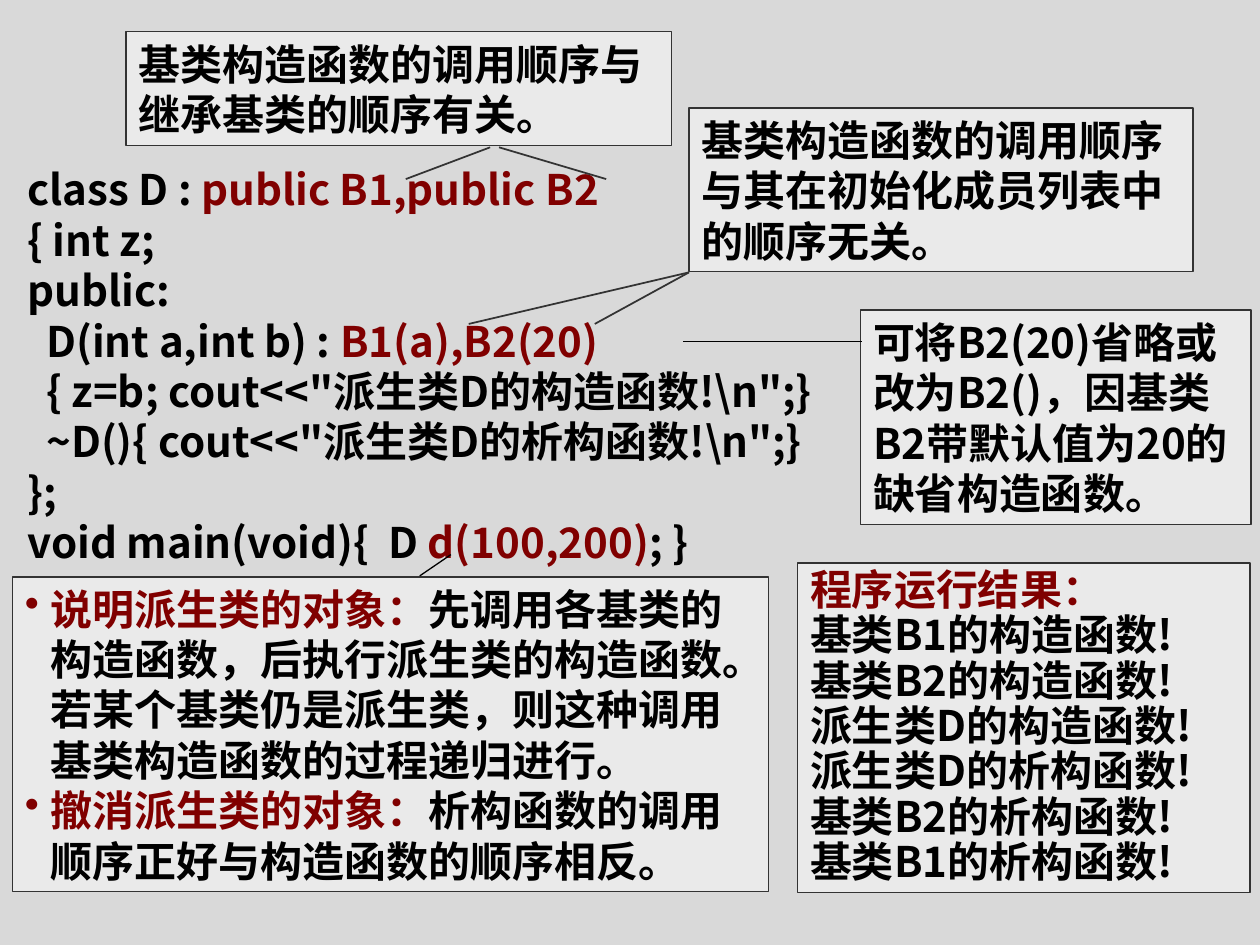
"""Build a slide on the order of base-class constructor calls."""
import pptx
import pptx.util
import pptx.dml.color
import pptx.enum.shapes
import pptx.enum.text
import pptx.oxml
import pptx.oxml.ns
from lxml import etree

Cm, Pt = pptx.util.Cm, pptx.util.Pt
RGB = pptx.dml.color.RGBColor
BACK = RGB(0xD9, 0xD9, 0xD9)
PANEL = RGB(0xEA, 0xEA, 0xEA)
EDGE = RGB(0x33, 0x33, 0x33)
BLACK = RGB(0, 0, 0)
RED = RGB(0x80, 0, 0)
SANS, SERIF = "Noto Sans CJK SC", "Times New Roman"
TOP = pptx.enum.text.MSO_ANCHOR.TOP
MIDDLE = pptx.enum.text.MSO_ANCHOR.MIDDLE
LEFT = pptx.enum.text.PP_ALIGN.LEFT
JUSTIFY = pptx.enum.text.PP_ALIGN.JUSTIFY

CODE = [
    "class D : |public B1,public B2",
    "{ int z;",
    "public:",
    "  D(int a,int b) : |B1(a),B2(20)",
    "  { z=b; cout<<\"派生类D的构造函数!\\n\";}",
    "  ~D(){ cout<<\"派生类D的析构函数!\\n\";}",
    "};",
    "void main(void){  D |d(100,200)|; }",
]
OUTPUT = [
    "|程序运行结果：",
    "基类B1的构造函数!",
    "基类B2的构造函数!",
    "派生类D的构造函数!",
    "派生类D的析构函数!",
    "基类B2的析构函数!",
    "基类B1的析构函数!",
]
ORDER = ["基类构造函数的调用顺序与继承基类的顺序有关。"]
INIT = ["基类构造函数的调用顺序与其在初始化成员列表中的顺序无关。"]
RULES = [
    "|说明派生类的对象：|先调用各基类的构造函数，后执行派生类的构造函数。"
    "若某个基类仍是派生类，则这种调用基类构造函数的过程递归进行。",
    "|撤消派生类的对象：|析构函数的调用顺序正好与构造函数的顺序相反。",
]
DEFAULT = ["可将B2(20)省略或改为B2()，因基类B2带默认值为20的缺省构造函数。"]

PLAIN = {"alignment": LEFT}
PANELS = [
    (OUTPUT, (16.08, 11.35, 9.12, 6.65), SANS, TOP, {"alignment": LEFT, "line_spacing": 0.9}, False),
    (ORDER, (2.54, 0.64, 11, 2.29), SERIF, MIDDLE, PLAIN, False),
    (INIT, (13.89, 2.18, 10.16, 3.3), SERIF, MIDDLE, PLAIN, False),
    (RULES, (0.25, 11.63, 15.24, 6.35), SANS, TOP, PLAIN, True),
    (DEFAULT, (17.35, 6.25, 7.87, 4.32), SANS, TOP, PLAIN, False),
]
LINES = [
    ((9.88, 2.97, 8.18, 3.61), EDGE, 1),
    ((10.06, 2.97, 12.22, 3.61), EDGE, 1),
    ((13.89, 5.49, 9.45, 6.53), EDGE, 1),
    ((13.89, 5.49, 11.99, 6.53), EDGE, 1),
    ((9.09, 11.18, 8.46, 11.61), BLACK, 0.75),
    ((13.77, 6.88, 17.37, 6.88), BLACK, 0.75),
]


def assign(item, vals):
    for key, val in vals.items():
        setattr(item, key, val)


def add(parent, tag, **vals):
    return etree.SubElement(parent, pptx.oxml.ns.qn(tag), vals)


def bullet(para):
    props = para._p.get_or_add_pPr()
    props.set("marL", str(Cm(0.51)))
    props.set("indent", str(-Cm(0.51)))
    add(add(props, "a:buClr"), "a:srgbClr", val=str(RED))
    add(props, "a:buChar", char="•")


def write(shape, rows, face, anchor, form, dots):
    frame = shape.text_frame
    assign(frame, {
        "word_wrap": True,
        "vertical_anchor": anchor,
        "auto_size": pptx.enum.text.MSO_AUTO_SIZE.SHAPE_TO_FIT_TEXT,
    })
    for num, row in enumerate(rows):
        para = frame.add_paragraph() if num else frame.paragraphs[0]
        assign(para, form)
        if dots:
            bullet(para)
        for part, text in enumerate(row.split("|")):
            if text:
                run = para.add_run()
                run.text = text
                assign(run.font, {"size": Pt(24), "bold": True, "name": face})
                run.font.color.rgb = RED if part % 2 else BLACK
                add(run._r.get_or_add_rPr(), "a:ea", typeface=SANS)


def panel(shapes, box, *text):
    rect = pptx.enum.shapes.MSO_SHAPE.RECTANGLE
    shape = shapes.add_shape(rect, *map(Cm, box))
    shape.shadow.inherit = False
    shape.fill.solid()
    shape.fill.fore_color.rgb = PANEL
    shape.line.color.rgb = EDGE
    shape.line.width = Pt(0.75)
    write(shape, *text)


def link(shapes, ends, color, width):
    kind = pptx.enum.shapes.MSO_CONNECTOR.STRAIGHT
    line = shapes.add_connector(kind, *map(Cm, ends))
    line.line.color.rgb = color
    line.line.width = Pt(width)
    add(line._element.spPr, "a:effectLst")


def main():
    deck = pptx.Presentation()
    assign(deck, {"slide_width": Cm(25.4), "slide_height": Cm(19.05)})
    slide = deck.slides.add_slide(deck.slide_layouts[6])
    slide.background.fill.solid()
    slide.background.fill.fore_color.rgb = BACK
    shapes = slide.shapes
    code = shapes.add_textbox(*map(Cm, (0.3, 3.18, 24.77, 8.38)))
    write(code, CODE, SANS, TOP, {"alignment": JUSTIFY}, False)
    for rows, box, *style in PANELS:
        panel(shapes, box, rows, *style)
    for ends, color, width in LINES:
        link(shapes, ends, color, width)
    deck.save("out.pptx")


if __name__ == "__main__":
    main()
